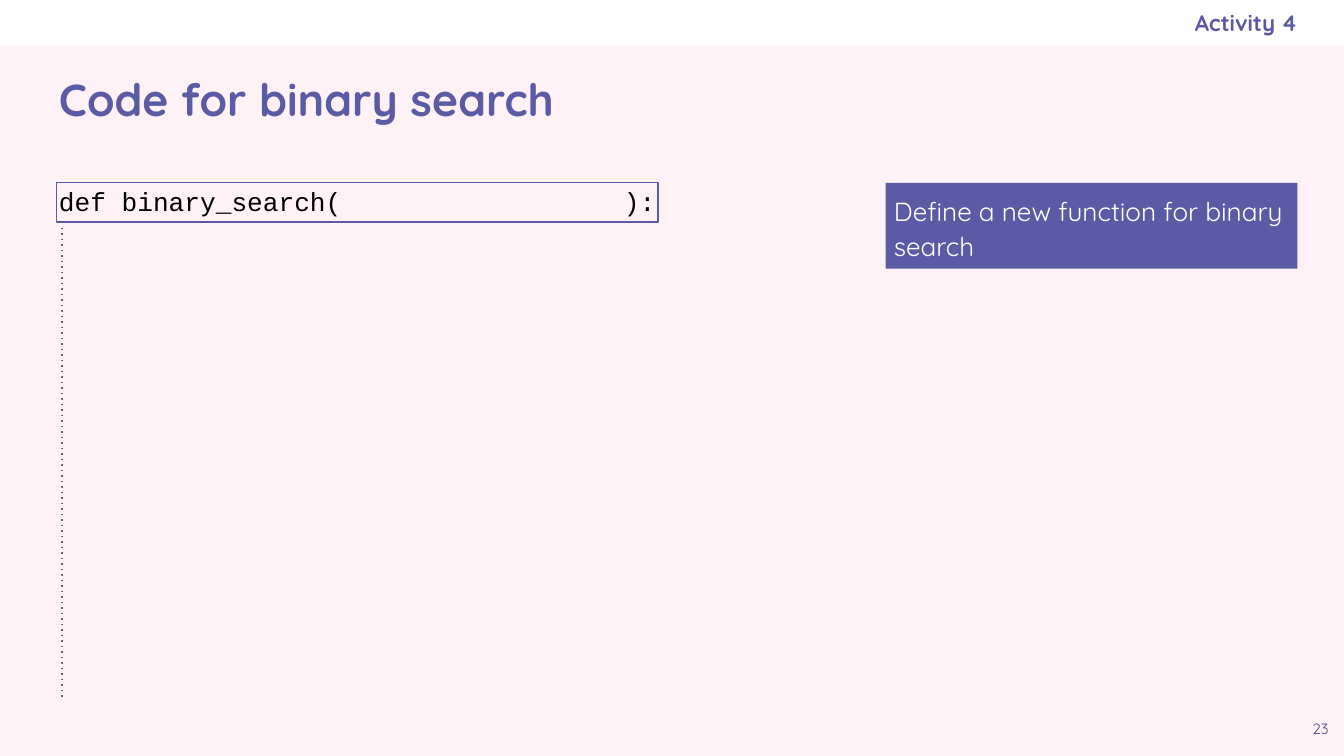
from lxml.etree import SubElement
from pptx import Presentation
from pptx.dml.color import RGBColor
from pptx.enum.shapes import MSO_CONNECTOR, MSO_SHAPE
from pptx.enum.text import MSO_ANCHOR as ANCHOR, PP_ALIGN as ALIGN
from pptx.oxml.ns import qn
from pptx.util import Pt

COLORS = {
    "background": "FEF2F6",
    "white": "FFFFFF",
    "black": "000000",
    "purple": "5B5BA5",
    "number": "494985",
    "guide": "666666",
}
SANS, MONO = "Quicksand", "Courier New"
WIDTH, HEIGHT = 720, 405
HEADER_H = 24.5
RIGHT = 695  # right edge of the content


def rgb(name):
    return RGBColor.from_string(COLORS[name])


def add_rect(s, box, fill=None, line=None):
    sp = s.shapes.add_shape(MSO_SHAPE.RECTANGLE, *map(Pt, box))
    sp.shadow.inherit = False
    if fill:
        sp.fill.solid()
        sp.fill.fore_color.rgb = rgb(fill)
    else:
        sp.fill.background()
    if line:
        sp.line.color.rgb = rgb(line)
        sp.line.width = Pt(0.75)
    else:
        sp.line.fill.background()
    return sp


def write(sp, text, size, color, font=SANS, bold=False, align=ALIGN.LEFT,
          anchor=ANCHOR.TOP, inset=7.2, right_inset=None, spacing=None):
    tf = sp.text_frame
    tf.word_wrap = True
    tf.vertical_anchor = anchor
    tf.margin_left = tf.margin_top = tf.margin_bottom = Pt(inset)
    tf.margin_right = Pt(inset if right_inset is None else right_inset)
    p = tf.paragraphs[0]
    p.alignment = align
    if spacing:
        p.line_spacing = spacing
    r = p.add_run()
    r.text = text
    r.font.name, r.font.size, r.font.bold = font, Pt(size), bold
    r.font.color.rgb = rgb(color)


def add_text(s, box, text, size, color, **style):
    write(s.shapes.add_textbox(*map(Pt, box)), text, size, color, **style)


def add_header(s, box, label):
    x, y, w, h = box
    add_rect(s, box, fill="white")
    label_w = 281
    add_text(s, (RIGHT - label_w, y, label_w, h), label, 12, "purple",
             bold=True, align=ALIGN.RIGHT, anchor=ANCHOR.MIDDLE, right_inset=0)


def add_code(s, box, code):
    x, y, w, h = box
    add_text(s, box, code, 14, "black", font=MONO)

    # Frame around the line of code
    frame_y, frame_h = y + 5.7, 21.1
    add_rect(s, (x + 5.6, frame_y, 322.5, frame_h), line="purple")

    # Dotted indentation guide
    guide_x = x + 8.7
    guide = s.shapes.add_connector(
        MSO_CONNECTOR.STRAIGHT, Pt(guide_x), Pt(frame_y + frame_h),
        Pt(guide_x), Pt(y + h - 6))
    guide.line.color.rgb = rgb("guide")
    guide.line.width = Pt(0.75)
    sp_pr = guide._element.spPr
    SubElement(sp_pr.find(qn("a:ln")), qn("a:prstDash")).set("val", "dot")
    SubElement(sp_pr, qn("a:effectLst"))


def add_explanation(s, box, text):
    sp = add_rect(s, box, fill="purple")
    write(sp, text, 14, "white", inset=4.3, spacing=1.13)


def main():
    prs = Presentation()
    prs.slide_width, prs.slide_height = Pt(WIDTH), Pt(HEIGHT)
    s = prs.slides.add_slide(prs.slide_layouts[6])
    s.background.fill.solid()
    s.background.fill.fore_color.rgb = rgb("background")

    # Header and title
    add_header(s, (0, 0, WIDTH, HEADER_H), "Activity 4")
    add_text(s, (24.5, 25.5, 671, 55), "Code for binary search", 24, "purple",
             bold=True, anchor=ANCHOR.MIDDLE)

    # Code and its explanation
    add_code(s, (24.5, 92.2, 438, 288), "def binary_search(                  ):")
    add_explanation(s, (474.5, 97.9, 220.5, 46),
                    "Define a new function for binary search")

    # Slide number
    add_text(s, (RIGHT, HEIGHT - HEADER_H, WIDTH - RIGHT, HEADER_H), "23", 8,
             "number", align=ALIGN.CENTER)

    prs.save("out.pptx")


if __name__ == "__main__":
    main()
